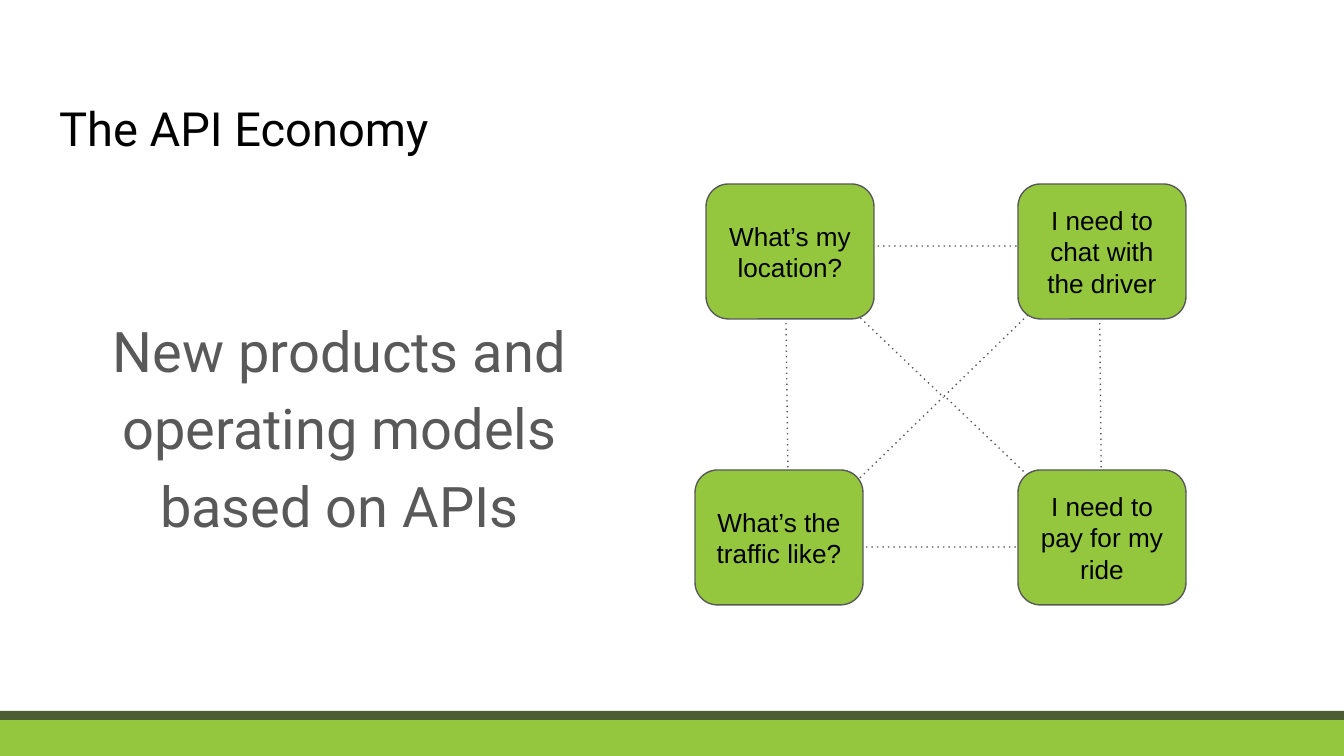
from pptx import Presentation
from pptx.dml.color import RGBColor
from pptx.enum.dml import MSO_LINE
from pptx.enum.shapes import MSO_CONNECTOR, MSO_SHAPE as SHAPE
from pptx.enum.text import MSO_ANCHOR as ANCHOR, PP_ALIGN as ALIGN
from pptx.oxml.ns import qn
from pptx.oxml.xmlchemy import OxmlElement
from pptx.util import Emu, Pt

SCALE = 914400 / 134.4
GREEN = RGBColor(0x94, 0xC7, 0x3D)
OLIVE = RGBColor(0x4C, 0x5D, 0x33)
GRAY = RGBColor(0x59, 0x59, 0x59)
BLACK = RGBColor(0, 0, 0)
WHITE = RGBColor(255, 255, 255)

TITLE = dict(size=25.2, name="Roboto", color=BLACK)
BODY = dict(size=30, name="Roboto", color=GRAY)
LABEL = dict(size=14, name="Arial", color=BLACK)
CENTER = dict(alignment=ALIGN.CENTER)

BOX_W, BOX_H = 168, 135
BOXES = [
    (706, 184, "What’s my location?"),
    (1018, 184, "I need to chat with the driver"),
    (695, 470, "What’s the traffic like?"),
    (1018, 470, "I need to pay for my ride"),
]


def px(*values):
    return [Emu(round(v * SCALE)) for v in values]


def set_line(item, dotted=False):
    item.line.color.rgb = GRAY
    item.line.width = Pt(0.75)
    if dotted:
        item.line.dash_style = MSO_LINE.ROUND_DOT
        # The plain "dot" preset has no member in MSO_LINE
        item.element.find(".//" + qn("a:prstDash")).set("val", "dot")


def add_shape(slide, kind, box, fill):
    shape = slide.shapes.add_shape(kind, *px(*box))
    shape.shadow.inherit = False
    shape.fill.solid()
    shape.fill.fore_color.rgb = fill
    shape.line.fill.background()
    return shape


def set_text(shape, text, look, para, anchor):
    frame = shape.text_frame
    (inset,) = px(13.44)
    frame.word_wrap = True
    frame.vertical_anchor = anchor
    for side in ("left", "right", "top", "bottom"):
        setattr(frame, f"margin_{side}", inset)
    first = frame.paragraphs[0]
    for key, value in para.items():
        setattr(first, key, value)
    run = first.add_run()
    run.text = text
    run.font.size = Pt(look["size"])
    run.font.name = look["name"]
    run.font.color.rgb = look["color"]


def add_text(slide, box, text, look, para, anchor=ANCHOR.TOP):
    set_text(slide.shapes.add_textbox(*px(*box)), text, look, para, anchor)


def add_side(slide, *ends):
    side = slide.shapes.add_connector(MSO_CONNECTOR.STRAIGHT, *px(*ends))
    set_line(side, dotted=True)
    side.element.spPr.append(OxmlElement("a:effectLst"))


def add_wedge(slide, box, apex, turn=0):
    wedge = add_shape(slide, SHAPE.ISOSCELES_TRIANGLE, box, WHITE)
    wedge.adjustments[0] = apex
    wedge.rotation = turn
    set_line(wedge, dotted=True)


def add_web(slide):
    """Dotted links between the four question boxes."""
    add_wedge(slide, (789, 396, 314, 151), 0.495)
    add_wedge(slide, (785, 246, 314, 151), 0.496, turn=180)
    add_side(slide, 785, 246, 789, 547)
    add_side(slide, 1099, 246, 1102, 547)


def add_box(slide, left, top, text):
    box = add_shape(slide, SHAPE.ROUNDED_RECTANGLE,
                    (left, top, BOX_W, BOX_H), GREEN)
    set_line(box)
    set_text(box, text, LABEL, CENTER, ANCHOR.MIDDLE)


def main():
    deck = Presentation()
    deck.slide_width, deck.slide_height = px(1344, 756)
    slide = deck.slides.add_slide(deck.slide_layouts[6])
    add_shape(slide, SHAPE.RECTANGLE, (0, 715, 1344, 41), GREEN)
    add_shape(slide, SHAPE.RECTANGLE, (0, 711, 1344, 9), OLIVE)
    add_web(slide)
    add_text(slide, (46, 86, 1253, 84), "The API Economy", TITLE,
             dict(alignment=ALIGN.LEFT))
    add_text(slide, (46, 171, 587, 503),
             "New products and operating models based on APIs", BODY,
             dict(CENTER, line_spacing=1.15, space_after=Pt(12)),
             ANCHOR.MIDDLE)
    for box in BOXES:
        add_box(slide, *box)
    deck.save("out.pptx")


if __name__ == "__main__":
    main()
